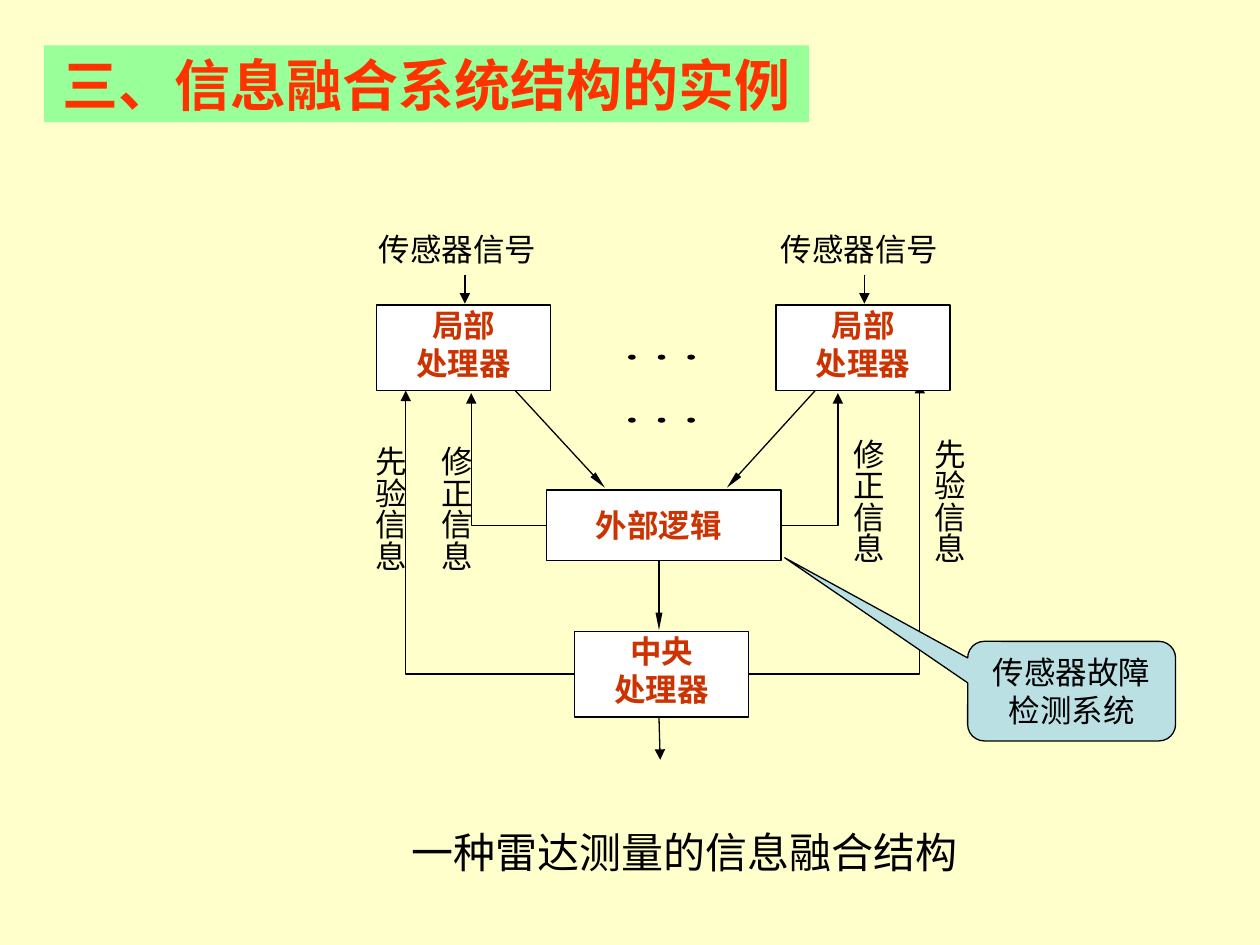
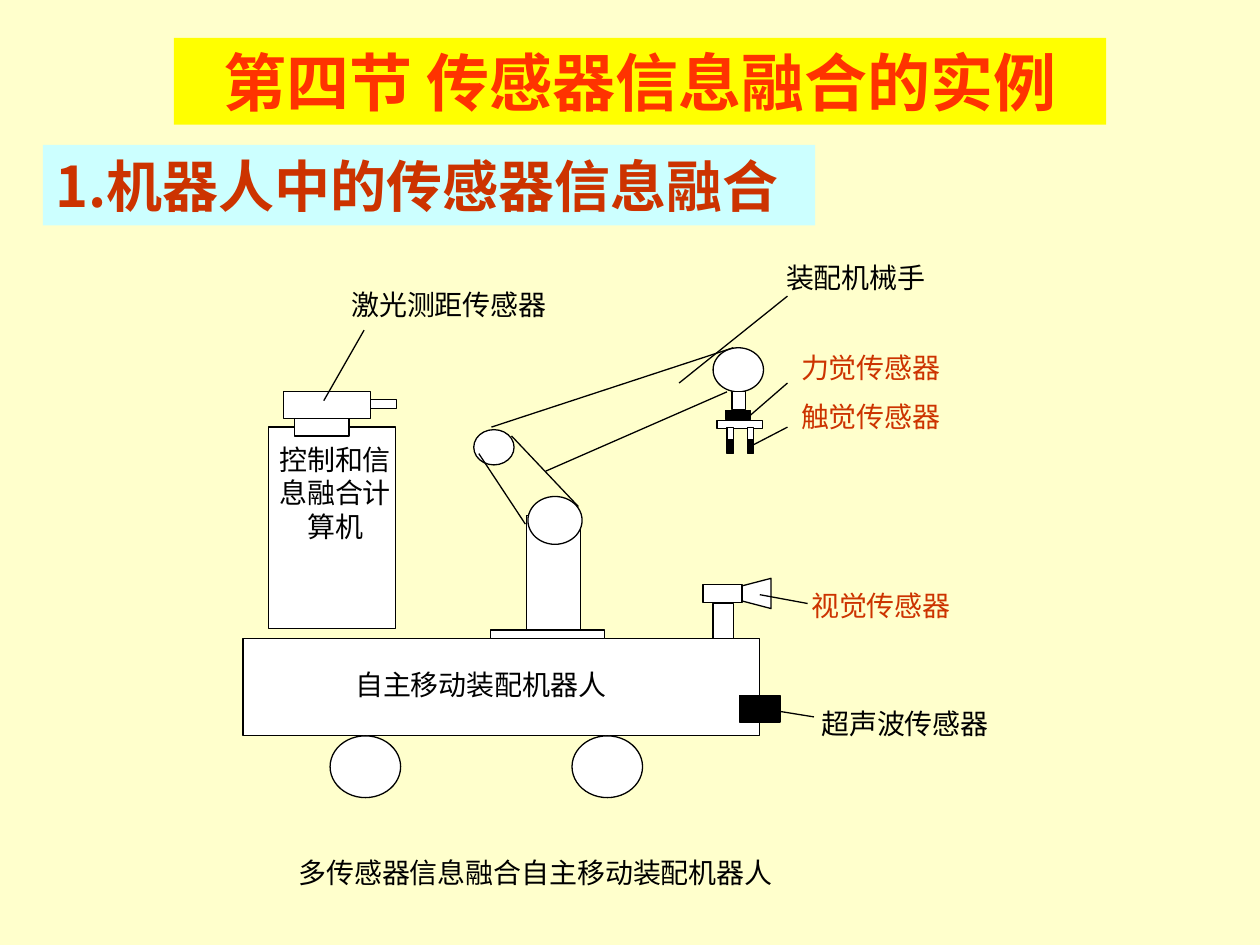
from lxml.etree import SubElement
from pptx import Presentation
from pptx.dml.color import RGBColor
from pptx.enum.shapes import MSO_CONNECTOR, MSO_SHAPE
from pptx.enum.text import MSO_ANCHOR, PP_ALIGN
from pptx.oxml.ns import qn
from pptx.util import Inches, Pt

CREAM, WHITE, BLACK = "FFFFCC", "FFFFFF", "000000"
TITLE_RED, RED = "FF3300", "CC3300"
TIMES, ARIAL, NOTO = "Times New Roman", "Arial", "Noto Sans CJK JP"
LEFT, CENTER = PP_ALIGN.LEFT, PP_ALIGN.CENTER
RECT, OVAL = MSO_SHAPE.RECTANGLE, MSO_SHAPE.OVAL
rgb = RGBColor.from_string


def box(s, at, text="", fill=None, kind=RECT, line=BLACK, size=18, color=BLACK,
        bold=False, font=TIMES, align=LEFT, anchor=MSO_ANCHOR.TOP):
    """Add a filled shape, or a text box when there is no fill."""
    at = [Inches(v) for v in at]
    if fill:
        sp = s.shapes.add_shape(kind, *at)
        sp.shadow.inherit = False
        sp.fill.solid()
        sp.fill.fore_color.rgb = rgb(fill)
        if line:
            sp.line.color.rgb = rgb(line)
            sp.line.width = Pt(0.75)
        else:
            sp.line.fill.background()
    else:
        sp = s.shapes.add_textbox(*at)
    if text:
        tf = sp.text_frame
        tf.text = text
        tf.word_wrap = True
        tf.vertical_anchor = anchor
        for p in tf.paragraphs:
            p.alignment = align
            for r in p.runs:
                r.font.name, r.font.size, r.font.bold = font, Pt(size), bold
                r.font.color.rgb = rgb(color)
    return sp


def trace(s, *points, fill=None, heads=(), width="med", length="med"):
    """Draw a connector through two points, or a freeform through more."""
    pts = [(Inches(x), Inches(y)) for x, y in points]
    if len(pts) == 2:
        sp = s.shapes.add_connector(MSO_CONNECTOR.STRAIGHT, *pts[0], *pts[1])
        SubElement(sp._element.spPr, qn("a:effectLst"))
    else:
        builder = s.shapes.build_freeform(*pts[0], scale=1.0)
        builder.add_line_segments(pts[1:], close=bool(fill))
        sp = builder.convert_to_shape()
        sp.shadow.inherit = False
        if fill:
            sp.fill.solid()
            sp.fill.fore_color.rgb = rgb(fill)
        else:
            sp.fill.background()
    sp.line.color.rgb = rgb(BLACK)
    sp.line.width = Pt(0.75)
    ln = sp.line._get_or_add_ln()
    for head in heads:
        SubElement(ln, qn(f"a:{head}"), type="triangle", w=width, len=length)


prs = Presentation()
prs.slide_width, prs.slide_height = Inches(10), Inches(7.5)
background = prs.slide_master.background.fill
background.solid()
background.fore_color.rgb = rgb(CREAM)

TITLES = [
    ("三、信息融合系统结构的实例", (0.35, 0.36, 6.07, 0.61), "99FF99", ARIAL, 32),
    ("第四节 传感器信息融合的实例", (1.38, 0.3, 7.4, 0.69), "FFFF00", NOTO, 36),
]
slides = []
for text, at, fill, font, size in TITLES:
    s = prs.slides.add_slide(prs.slide_layouts[5])
    title = s.shapes.title
    title.left, title.top, title.width, title.height = [Inches(v) for v in at]
    title.fill.solid()
    title.fill.fore_color.rgb = rgb(fill)
    tf = title.text_frame
    tf.text = text
    tf.vertical_anchor = MSO_ANCHOR.MIDDLE
    p = tf.paragraphs[0]
    p.alignment = CENTER
    r = p.runs[0]
    r.font.name, r.font.size, r.font.bold = font, Pt(size), True
    r.font.color.rgb = rgb(TITLE_RED)
    slides.append(s)

# Slide 1: radar fusion structure
s = slides[0]
box(s, (2.8, 6.51, 5.27, 0.39), "一种雷达测量的信息融合结构", size=24, align=CENTER)

# Feedback paths run behind the logic and central processor boxes
for path in [
    [(3.74, 3.12), (3.74, 4.17), (6.65, 4.17), (6.65, 3.12)],
    [(3.22, 3.1), (3.22, 5.35), (7.3, 5.35), (7.3, 3.04)],
]:
    trace(s, *path, heads=("headEnd", "tailEnd"))

for name, left, top in [("局部", 2.99, 2.42), ("局部", 6.16, 2.42), ("中央", 4.56, 5.01)]:
    box(s, (left, top, 1.38, 0.68), fill=WHITE)
    box(s, (left + 0.03, top - 0.04, 1.32, 0.79), f"{name}\n处理器",
        color=RED, bold=True, align=CENTER)
box(s, (4.34, 3.89, 1.86, 0.56), fill=WHITE)
box(s, (4.63, 3.97, 1.74, 0.39), "外部逻辑", color=RED, bold=True)

for row in range(2):
    for col in range(3):
        box(s, (4.99 + 0.235 * col, 2.82 + 0.5 * row, 0.05, 0.03), fill=BLACK, kind=OVAL)

for start, end in [
    ((4.09, 3.1), (4.8, 3.87)),
    ((6.47, 3.1), (5.77, 3.87)),
    ((5.23, 4.45), (5.23, 5)),
]:
    trace(s, start, end, heads=["tailEnd"], width="sm", length="lg")
trace(s, (5.23, 5.69), (5.24, 6.03), heads=["tailEnd"])

for label_left, arrow_x in [(2.91, 3.69), (6.1, 6.86)]:
    box(s, (label_left, 1.78, 1.57, 0.39), "传感器信号")
    trace(s, (arrow_x, 2.18), (arrow_x, 2.41), heads=["tailEnd"])

for text, left, top, width in [
    ("先验信息", 7.36, 3.38, 0.37),
    ("修正信息", 6.68, 3.38, 0.41),
    ("先验信息", 2.87, 3.44, 0.43),
    ("修正信息", 3.35, 3.44, 0.47),
]:
    tf = box(s, (left, top, width, 1.24), text).text_frame
    tf.margin_left = tf.margin_right = Inches(0.05)
    tf.margin_top = tf.margin_bottom = Inches(0.1)
    tf._txBody.bodyPr.set("vert", "eaVert")

callout = box(s, (7.68, 5.09, 1.65, 0.79), "传感器故障检测系统", fill="BBE0E3",
              kind=MSO_SHAPE.ROUNDED_RECTANGULAR_CALLOUT, font=ARIAL,
              align=CENTER, anchor=MSO_ANCHOR.MIDDLE)
callout.adjustments[0] = -1.38
callout.adjustments[1] = -1.34

# Slide 2: assembly robot
s = slides[1]
heading = box(s, (0.34, 1.15, 6.13, 0.64), "1.机器人中的传感器信息融合", fill="CCFFFF",
              line=None, size=32, color=RED, bold=True, font=NOTO,
              anchor=MSO_ANCHOR.MIDDLE)
heading.text_frame.word_wrap = False

# Vehicle body, wheels, column and camera
box(s, (1.93, 5.07, 4.1, 0.77), fill=WHITE)
for wheel_left in (2.62, 4.54):
    box(s, (wheel_left, 5.84, 0.56, 0.49), fill=WHITE, kind=OVAL)
for part in [
    (3.89, 5, 0.91, 0.07), (4.18, 4.09, 0.43, 0.91),
    (5.66, 4.79, 0.16, 0.28), (5.58, 4.64, 0.31, 0.14),
]:
    box(s, part, fill=WHITE)
trace(s, (6.12, 4.59), (5.89, 4.65), (5.89, 4.77), (6.12, 4.83), fill=WHITE)

# Arm: joints, then links
for joint in [(4.19, 3.94, 0.43, 0.38), (3.76, 3.41, 0.32, 0.28), (5.66, 2.76, 0.4, 0.35)]:
    box(s, joint, fill=WHITE, kind=OVAL)
for start, end in [
    ((3.8, 3.6), (4.17, 4.16)), ((4.06, 3.46), (4.59, 4.02)),
    ((4.33, 3.74), (5.77, 3.11)), ((3.9, 3.39), (5.82, 2.76)),
]:
    trace(s, start, end)

# Wrist and gripper fingers
box(s, (5.81, 3.11, 0.11, 0.14), fill=WHITE)
box(s, (5.76, 3.26, 0.2, 0.07), fill=BLACK)
box(s, (5.69, 3.34, 0.36, 0.06), fill=WHITE)
for finger_left in (5.77, 5.93):
    box(s, (finger_left, 3.39, 0.05, 0.21), fill=WHITE)
    box(s, (finger_left, 3.49, 0.05, 0.1), fill=BLACK)

# Ultrasonic sensor, computer and laser range finder
box(s, (5.87, 5.52, 0.32, 0.21), fill=BLACK)
box(s, (2.13, 3.39, 1.01, 1.6), fill=WHITE)
box(s, (1.94, 3.46, 1.44, 1.61), "控制和信\n息融合计\n算机", size=16, align=CENTER)
for part in [(2.34, 3.32, 0.43, 0.14), (2.25, 3.11, 0.69, 0.21), (2.94, 3.17, 0.21, 0.07)]:
    box(s, part, fill=WHITE)

for start, end in [
    ((2.57, 3.18), (2.89, 2.62)), ((5.39, 3.04), (6.25, 2.35)),
    ((5.95, 3.3), (6.25, 3.04)), ((5.98, 3.53), (6.25, 3.39)),
    ((6.03, 4.72), (6.41, 4.79)), ((6.09, 5.63), (6.46, 5.69)),
]:
    trace(s, start, end)

for text, left, top, width, color in [
    ("自主移动装配机器人", 2.72, 5.25, 2.88, BLACK),
    ("装配机械手", 6.14, 2.02, 1.76, BLACK),
    ("力觉传感器", 6.26, 2.73, 1.76, RED),
    ("触觉传感器", 6.26, 3.12, 1.76, RED),
    ("视觉传感器", 6.34, 4.62, 1.76, RED),
    ("超声波传感器", 6.42, 5.56, 1.76, BLACK),
    ("激光测距传感器", 2.69, 2.23, 2.13, BLACK),
    ("多传感器信息融合自主移动装配机器人", 2.27, 6.74, 4.14, BLACK),
]:
    box(s, (left, top, width, 0.49), text, size=16, color=color)

prs.save("out.pptx")
